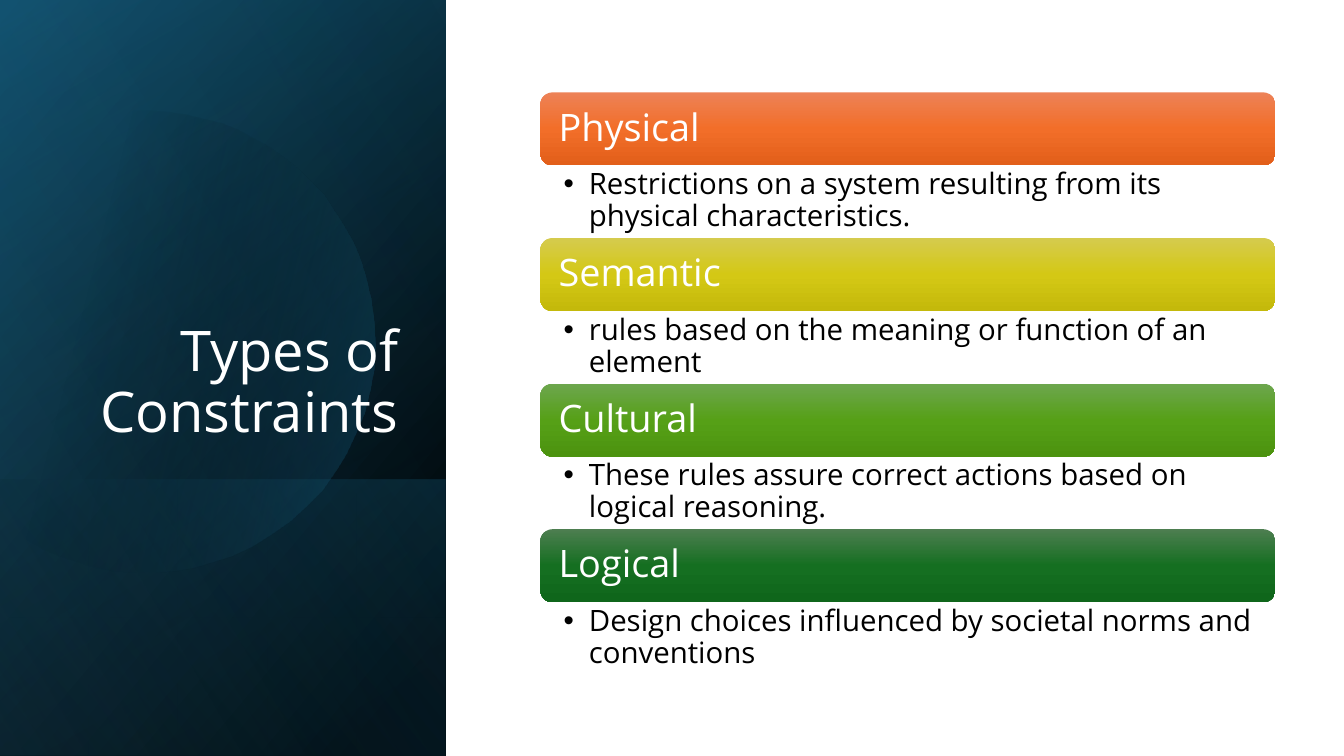
from lxml.etree import SubElement
from pptx import Presentation
from pptx.dml.color import RGBColor
from pptx.enum.shapes import MSO_SHAPE as Shape
from pptx.enum.text import MSO_ANCHOR as Anchor, PP_ALIGN as Align
from pptx.oxml.ns import qn
from pptx.util import Pt

FONT = "Open Sans"
TITLE = "Types of Constraints"
# heading, description, bar gradient from top to bottom
CONSTRAINTS = [
    ("Physical", "Restrictions on a system resulting from its physical characteristics.",
     ("ED8257", "F26E29", "E25F1A")),
    ("Semantic", "rules based on the meaning or function of an element",
     ("D5CB4E", "D4C815", "C4B90B")),
    ("Cultural", "These rules assure correct actions based on logical reasoning.",
     ("6DA64E", "56A017", "4C930F")),
    ("Logical", "Design choices influenced by societal norms and conventions",
     ("4D7E50", "156F21", "0F661B")),
]

# Side panel layers: visible box (left, top, width, height), angle,
# gradient stops (position %, colour, opacity %)
PANEL = (0, 0, 318.5, 540)
PANEL_FOOT = (0, 342.7, 318.5, 197.3)
BASE_LAYERS = [
    (PANEL, 50, [(8, "000000", 100), (100, "104862", 100)]),
    (PANEL, 30, [(0, "000000", 0), (99, "156082", 46)]),
    (PANEL_FOOT, 130, [(2, "156082", 29), (100, "000000", 30)]),
]
TOP_LAYER = (PANEL, 120, [(0, "000000", 0), (99, "46B1E1", 11)])
DISC_STOPS = [(29, "000000", 0), (100, "156082", 43)]
DISC_START = (107, 79)
DISC_CURVES = [  # two control points and an end point each
    ((177, 81), (241, 127), (261, 198)),
    ((287, 286), (236, 377), (149, 402)),
    ((94, 418), (38, 404), (-2, 370)),
    ((-5, 367), (-8, 365), (-11, 362)),
    ((-11, 283), (-11, 205), (-11, 126)),
    ((-7, 123), (-4, 119), (0, 116)),
    ((17, 102), (36, 92), (58, 86)),
    ((74, 81), (91, 79), (107, 79)),
]

# Layout of the list
LIST_LEFT, LIST_TOP, LIST_WIDTH = 386, 66, 525
BAR_HEIGHT, DETAIL_HEIGHT = 52.2, 51.8
PITCH = BAR_HEIGHT + DETAIL_HEIGHT


def rgb(color):
    return RGBColor.from_string(color)


def fill_gradient(shape, angle, stops):
    shape.shadow.inherit = False
    shape.line.fill.background()
    shape.fill.gradient()
    grad = shape.fill._xPr.find(qn("a:gradFill"))
    for child in list(grad):
        grad.remove(child)
    grad.set("rotWithShape", "1")
    stop_list = SubElement(grad, qn("a:gsLst"))
    for position, color, opacity in stops:
        stop = SubElement(stop_list, qn("a:gs"), pos=str(position * 1000))
        clr = SubElement(stop, qn("a:srgbClr"), val=color)
        if opacity < 100:
            SubElement(clr, qn("a:alpha"), val=str(opacity * 1000))
    SubElement(grad, qn("a:lin"), ang=str(angle * 60000), scaled="0")


def add_layer(box, angle, stops):
    """A mirrored rectangle on its side that covers the visible box."""
    left, top, width, height = box
    layer = slide.shapes.add_shape(
        Shape.RECTANGLE, Pt(left + (width - height) / 2), Pt(top + (height - width) / 2),
        Pt(height), Pt(width))
    layer.rotation = 90
    layer._element.spPr.xfrm.set("flipH", "1")
    fill_gradient(layer, angle, stops)


def curve_points(start, curves, steps=16):
    for a, b, end in curves:
        for i in range(1, steps + 1):
            t = i / steps
            yield tuple((1 - t) ** 3 * p + 3 * (1 - t) ** 2 * t * q
                        + 3 * (1 - t) * t ** 2 * r + t ** 3 * s
                        for p, q, r, s in zip(start, a, b, end))
        start = end


def set_text(shape, text, size, color, align, anchor, insets):
    frame = shape.text_frame
    frame.word_wrap = True
    frame.vertical_anchor = anchor
    frame.margin_left, frame.margin_top, frame.margin_right, frame.margin_bottom = map(Pt, insets)
    paragraph = frame.paragraphs[0]
    paragraph.text = text
    paragraph.alignment = align
    paragraph.line_spacing = 0.9
    paragraph.font.name = FONT
    paragraph.font.size = Pt(size)
    paragraph.font.color.rgb = rgb(color)
    return paragraph


def add_bullet(paragraph):
    props = paragraph._p.get_or_add_pPr()
    props.set("marL", str(Pt(18)))
    props.set("indent", str(-Pt(18)))
    SubElement(props, qn("a:buFont"), typeface="Arial")
    SubElement(props, qn("a:buChar"), char="•")
    props.append(props.find(qn("a:defRPr")))  # defaults must follow the bullet


prs = Presentation()
prs.slide_width, prs.slide_height = Pt(960), Pt(540)
slide = prs.slides.add_slide(prs.slide_layouts[5])

# Side panel
for base_layer in BASE_LAYERS:
    add_layer(*base_layer)
outline = slide.shapes.build_freeform(*DISC_START, scale=Pt(1))
outline.add_line_segments(list(curve_points(DISC_START, DISC_CURVES)), close=True)
fill_gradient(outline.convert_to_shape(), 14, DISC_STOPS)
add_layer(*TOP_LAYER)

# Title, in front of the panel
title = slide.shapes.title
title.left, title.top, title.width, title.height = map(Pt, (46, 132.5, 245.5, 188.5))
set_text(title, TITLE, 40, "FFFFFF", Align.RIGHT, Anchor.BOTTOM, (7.2, 3.6, 7.2, 3.6))
slide.shapes._spTree.append(title._element)

# Constraint bars with their descriptions
for row, (heading, description, colors) in enumerate(CONSTRAINTS):
    top = LIST_TOP + row * PITCH
    bar = slide.shapes.add_shape(Shape.ROUNDED_RECTANGLE, Pt(LIST_LEFT), Pt(top),
                                 Pt(LIST_WIDTH), Pt(BAR_HEIGHT))
    fill_gradient(bar, 90, [(50 * i, color, 100) for i, color in enumerate(colors)])
    set_text(bar, heading, 27, "FFFFFF", Align.LEFT, Anchor.MIDDLE, (10.5, 8, 10.5, 8))
    detail = slide.shapes.add_textbox(Pt(LIST_LEFT), Pt(top + BAR_HEIGHT),
                                      Pt(LIST_WIDTH), Pt(DETAIL_HEIGHT))
    add_bullet(set_text(detail, description, 21, "000000", Align.LEFT, Anchor.TOP,
                        (16.6, 2.7, 15, 2.7)))

prs.save("out.pptx")
